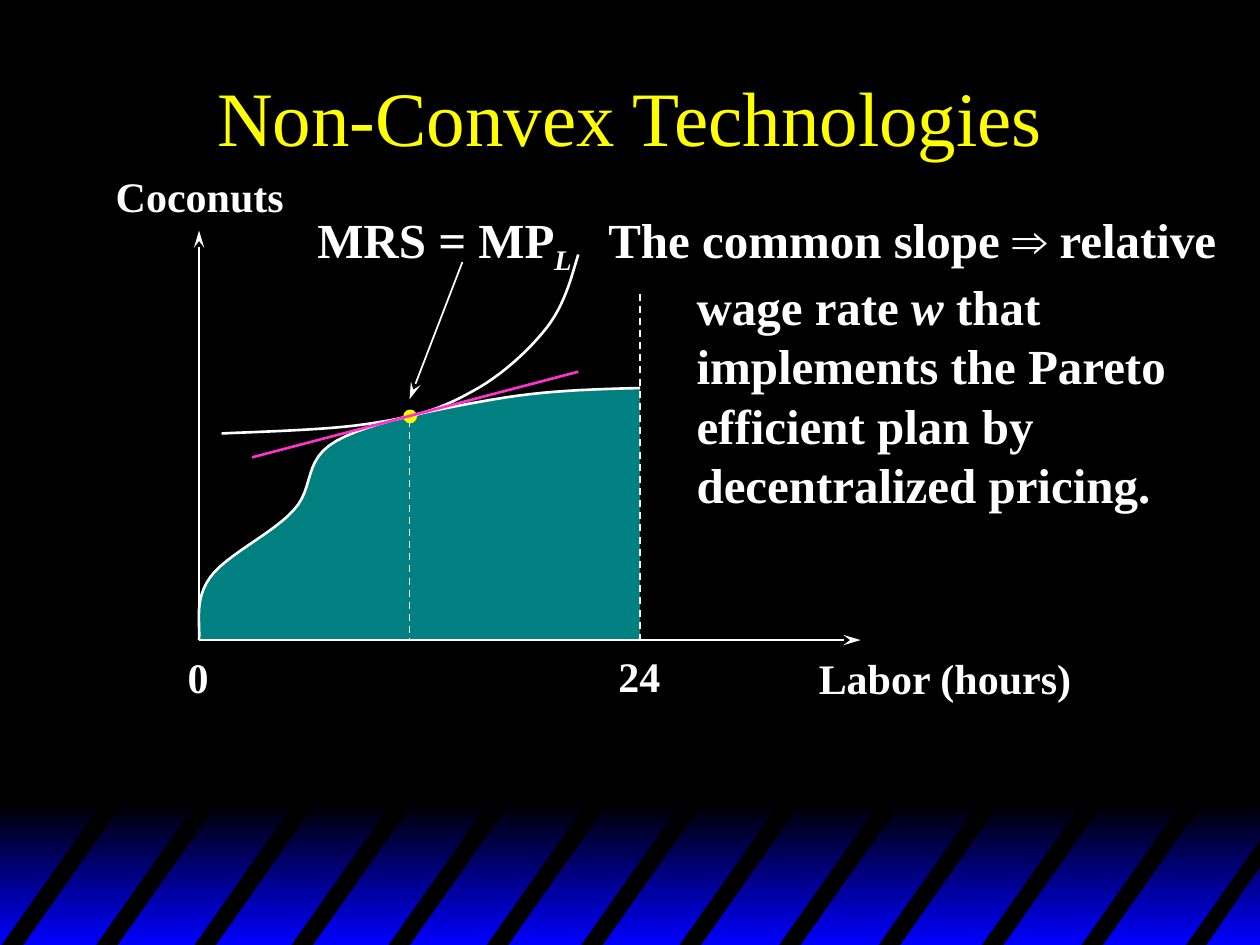
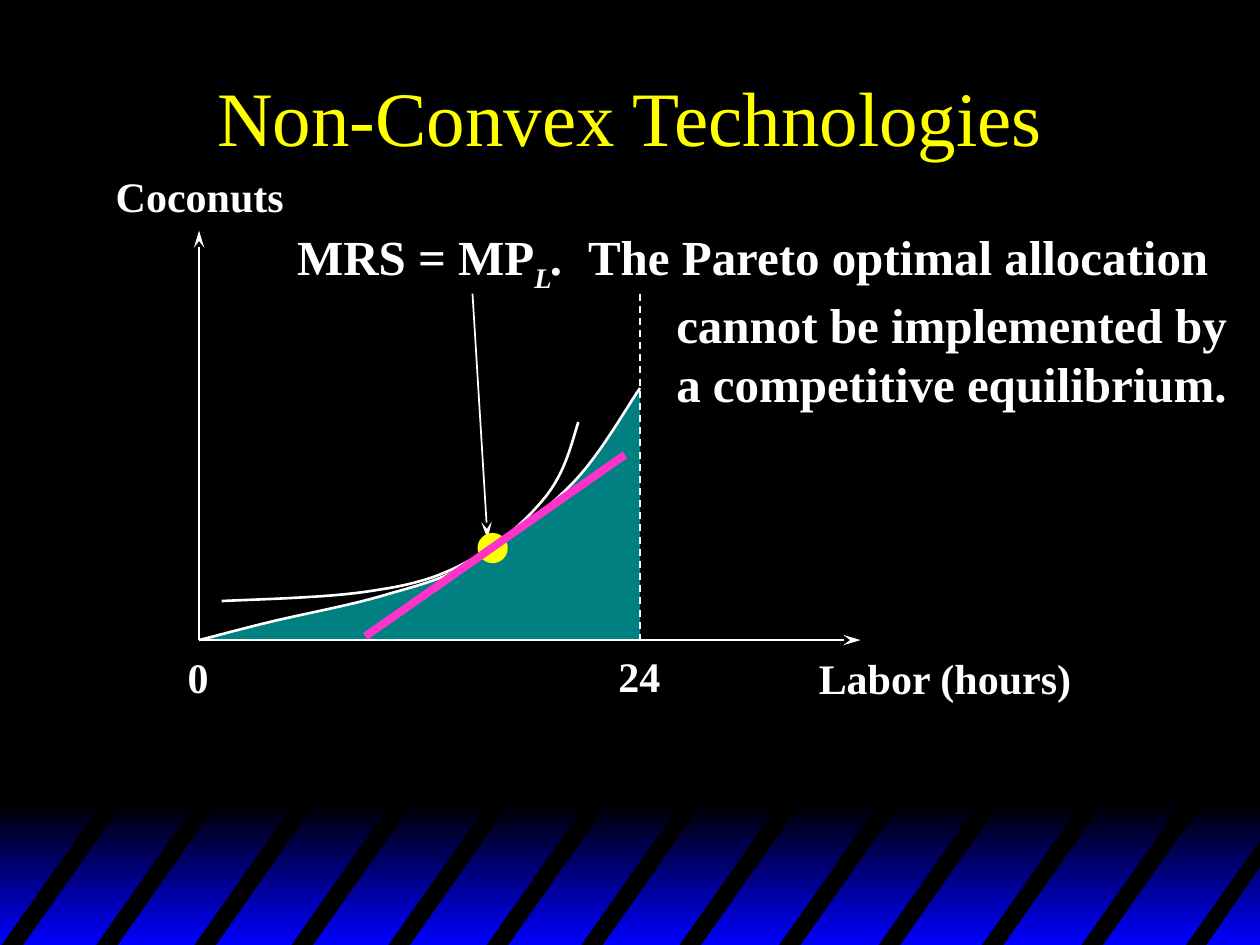
"""Build two slides on Pareto efficiency with non-convex technologies."""
from lxml.etree import SubElement
from pptx import Presentation
from pptx.dml.color import RGBColor
from pptx.enum.dml import MSO_LINE_DASH_STYLE as DASH
from pptx.enum.shapes import MSO_CONNECTOR as CONNECTOR, MSO_SHAPE as SHAPE
from pptx.enum.text import MSO_ANCHOR as ANCHOR, PP_ALIGN as ALIGN
from pptx.oxml.ns import qn
from pptx.util import Inches, Pt

color = RGBColor.from_string
BLACK, WHITE, YELLOW = "000000", "FFFFFF", "FFFF00"
BLUE, CYAN, PINK = "0000FF", "00FFFF", "FF33CC"
FONT = "Times New Roman"
LINE_HEIGHT = 1.21
ORIGIN_X, ORIGIN_Y, DAY_X = 1.58, 5.08, 5.08


def add_line(slide, start, end, line_color=WHITE, width=1, dashed=False, arrow=False):
    """Draw a straight line, optionally dashed or with an arrowhead at its end."""
    ends = [Inches(value) for value in (*start, *end)]
    connector = slide.shapes.add_connector(CONNECTOR.STRAIGHT, *ends)
    connector.line.color.rgb = color(line_color)
    connector.line.width = Pt(width)
    if dashed:
        connector.line.dash_style = DASH.DASH
    if arrow:
        SubElement(connector.line._get_or_add_ln(), qn("a:tailEnd"),
                   type="stealth", w="med", len="lg")
    SubElement(connector.element.spPr, qn("a:effectLst"))


def add_freeform(slide, points, fill=None, line=None):
    """Draw a filled outline, or an open curve when no fill is given."""
    corners = [(Inches(x), Inches(y)) for x, y in points]
    builder = slide.shapes.build_freeform(*corners[0])
    builder.add_line_segments(corners[1:], close=fill is not None)
    shape = builder.convert_to_shape()
    shape.shadow.inherit = False
    if fill:
        shape.fill.solid()
        shape.fill.fore_color.rgb = color(fill)
    else:
        shape.fill.background()
    if line:
        shape.line.color.rgb = color(line)
        shape.line.width = Pt(1.5)
    else:
        shape.line.fill.background()
    return shape


presentation = Presentation()
presentation.slide_width, presentation.slide_height = Inches(10), Inches(7.5)
background = presentation.slide_master.background.fill
background.solid()
background.fore_color.rgb = color(BLACK)

layout = presentation.slide_layouts[5]
for placeholder in list(layout.placeholders)[1:]:
    placeholder.element.getparent().remove(placeholder.element)

first_slide = presentation.slides.add_slide(layout)
second_slide = presentation.slides.add_slide(layout)

band = first_slide.shapes.add_shape(
    SHAPE.RECTANGLE, 0, Inches(6.38), Inches(10.02), Inches(1.12))
band.shadow.inherit = False
band.line.fill.background()
band.fill.gradient()
band.fill.gradient_angle = 270
for stop, position, stop_color in zip(band.fill.gradient_stops, (0, 1), (BLACK, BLUE)):
    stop.position = position
    stop.color.rgb = color(stop_color)
footer = [band]
for left in (0, 0.75, 1.53, 2.3, 3.07, 3.85, 4.6, 5.38, 6.17, 6.96, 7.78, 8.57):
    footer.append(add_freeform(first_slide, [
        (left, 7.52), (left + 0.83, 6.34), (left + 1, 6.34), (left + 0.17, 7.52)], BLACK))
footer.append(add_freeform(
    first_slide, [(9.4, 7.52), (10.02, 6.64), (10.02, 6.85), (9.56, 7.52)], BLACK))
for shape in footer:
    layout.shapes.element.append(shape.element)

labels = [
    (6.4, 5.13, 2.4, 0.5, 24, [[("Labor (hours)", "")]]),
    (0.82, 1.3, 1.7, 0.5, 24, [[("Coconuts", "")]]),
    (4.81, 5.11, 0.6, 0.5, 24, [[("24", "")]]),
    (1.39, 5.12, 0.4, 0.5, 24, [[("0", "")]]),
]
indifference = [
    (1.76, 3.44), (2.21, 3.42), (2.67, 3.41), (3.01, 3.35), (3.34, 3.3), (3.53, 3.23),
    (3.76, 3.1), (3.98, 2.98), (4.2, 2.78), (4.34, 2.6), (4.48, 2.42), (4.53, 2.22),
    (4.59, 2.02)]
diagrams = [
    dict(
        slide=first_slide,
        production=[
            (1.58, 5.08), (1.59, 4.93), (1.54, 4.76), (1.67, 4.58), (1.79, 4.41),
            (2.17, 4.23), (2.33, 4.05), (2.5, 3.87), (2.4, 3.65), (2.67, 3.5),
            (2.93, 3.35), (3.51, 3.24), (3.92, 3.17), (4.32, 3.1), (4.7, 3.09),
            (5.08, 3.08)],
        drop=0, dot=(3.2, 3.25, 0.11), optimum_line=True,
        arrow=((3.67, 2.08), (3.25, 3.17)),
        tangent=((2, 3.63), (4.59, 2.95)), tangent_width=1.5,
        callout=(2.42, 1.61, 7.45, 2.5, 28, [
            [("MRS = MP", ""), ("L", "subscript"), ("\t", ""),
             ("The common slope ", ""), ("⇒", "symbol"), (" relative", "")],
            [("wage rate ", ""), ("w", "italic"), (" that", "")],
            [("implements the Pareto", "")],
            [("efficient plan by", "")],
            [("decentralized pricing.", "")]])),
    dict(
        slide=second_slide,
        production=[
            (1.58, 5.08), (1.67, 5.06), (1.88, 5), (2.13, 4.94), (2.37, 4.88),
            (2.76, 4.81), (3.03, 4.73), (3.3, 4.65), (3.5, 4.61), (3.75, 4.46),
            (4, 4.31), (4.33, 4.06), (4.55, 3.83), (4.77, 3.6), (4.97, 3.24),
            (5.08, 3.08)],
        drop=1.33, dot=(3.79, 4.23, 0.24), optimum_line=False,
        arrow=((3.75, 2.33), (3.87, 4.28)),
        tangent=((2.9, 5.05), (4.96, 3.61)), tangent_width=4.5,
        callout=(2.26, 1.75, 7.7, 1.57, 28, [
            [("MRS = MP", ""), ("L", "subscript"), (".", "italic"), ("\t", ""),
             ("The Pareto optimal allocation", "")],
            [("cannot be implemented by", "")],
            [("a competitive equilibrium.", "")]])),
]

for diagram in diagrams:
    slide = diagram["slide"]
    title = slide.shapes.title
    title.left, title.top = Inches(0.75), Inches(0.25)
    title.width, title.height = Inches(8.5), Inches(1.33)
    title.text_frame.vertical_anchor = ANCHOR.MIDDLE
    paragraph = title.text_frame.paragraphs[0]
    paragraph.alignment = ALIGN.CENTER
    paragraph.line_spacing = Pt(44 * LINE_HEIGHT)
    run = paragraph.add_run()
    run.text = "Non-Convex Technologies"
    run.font.name, run.font.size = FONT, Pt(44)
    run.font.color.rgb = color(YELLOW)

    curves = []
    shifted = [(x, y + diagram["drop"]) for x, y in indifference]
    for controls in (diagram["production"], shifted):
        points = [controls[0]]
        for index in range(0, len(controls) - 1, 3):
            piece = controls[index:index + 4]
            for step in range(1, 13):
                t = step / 12
                weights = ((1 - t) ** 3, 3 * t * (1 - t) ** 2, 3 * t * t * (1 - t), t ** 3)
                points.append(tuple(
                    sum(weight * value for weight, value in zip(weights, axis))
                    for axis in zip(*piece)))
        curves.append(points)

    region = add_freeform(slide, curves[0] + [(DAY_X, ORIGIN_Y)], CYAN)
    fill_color = region.element.spPr.find(qn("a:solidFill"))[0]
    SubElement(fill_color, qn("a:alpha"), val="50000")
    for points in curves:
        add_freeform(slide, points, line=WHITE)

    add_line(slide, (ORIGIN_X, ORIGIN_Y), (ORIGIN_X, 1.83), arrow=True)
    add_line(slide, (ORIGIN_X, ORIGIN_Y), (6.83, ORIGIN_Y), arrow=True)
    add_line(slide, (DAY_X, 2.33), (DAY_X, ORIGIN_Y), dashed=True)
    if diagram["optimum_line"]:
        add_line(slide, (3.25, 3.33), (3.25, ORIGIN_Y), dashed=True)

    for left, top, width, height, size, lines in labels + [diagram["callout"]]:
        box = slide.shapes.add_textbox(
            Inches(left), Inches(top), Inches(width), Inches(height))
        frame = box.text_frame
        frame.word_wrap = True
        for number, runs in enumerate(lines):
            paragraph = frame.paragraphs[0] if number == 0 else frame.add_paragraph()
            properties = paragraph._p.get_or_add_pPr()
            spacing = size * LINE_HEIGHT
            if number > 0:
                properties.set("marL", str(Inches(3.01)))
                properties.set("indent", "0")
            elif len(lines) > 1:
                tabs = SubElement(properties, qn("a:tabLst"))
                SubElement(tabs, qn("a:tab"), pos=str(Inches(2.31)), algn="l")
                spacing += 4.5
            paragraph.line_spacing = Pt(spacing)
            for text, style in runs:
                run = paragraph.add_run()
                run.text = text
                run.font.name = "Arial" if style == "symbol" else FONT
                run.font.size, run.font.bold = Pt(size), True
                run.font.italic = style in ("italic", "subscript")
                run.font.color.rgb = color(WHITE)
                if style == "subscript":
                    run._r.get_or_add_rPr().set("baseline", "-25000")

    add_line(slide, *diagram["arrow"], arrow=True)
    left, top, diameter = diagram["dot"]
    dot = slide.shapes.add_shape(
        SHAPE.OVAL, Inches(left), Inches(top), Inches(diameter), Inches(diameter))
    dot.shadow.inherit = False
    dot.fill.solid()
    dot.fill.fore_color.rgb = color(YELLOW)
    dot.line.fill.background()
    add_line(slide, *diagram["tangent"], PINK, diagram["tangent_width"])

presentation.save("out.pptx")
